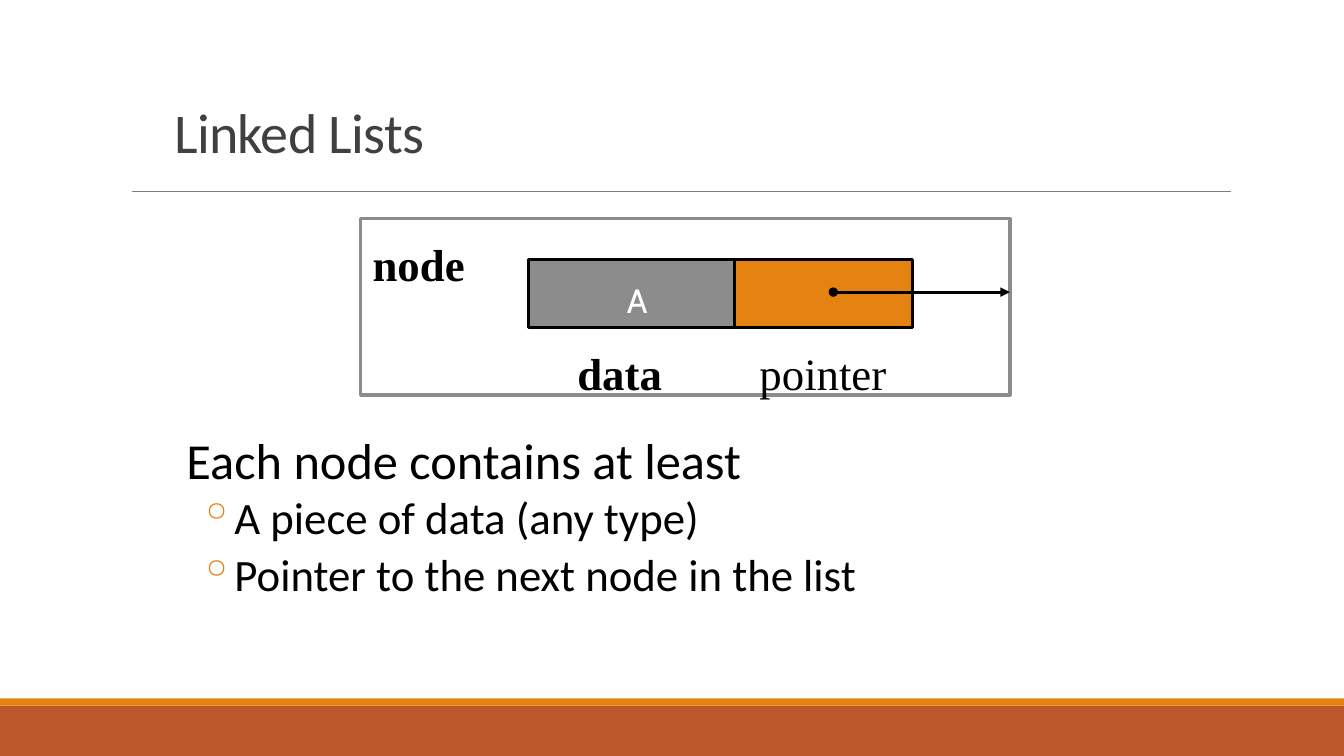
from lxml.etree import SubElement
from pptx import Presentation
from pptx.dml.color import RGBColor
from pptx.enum.shapes import MSO_CONNECTOR as Connector, MSO_SHAPE as Shape
from pptx.enum.text import MSO_ANCHOR as Anchor, PP_ALIGN as Align
from pptx.oxml.ns import qn
from pptx.util import Cm, Pt

WIDTH, HEIGHT = 33.87, 19.05
BLACK, ORANGE, RUST, GRAY = "000000", "E48312", "BD582C", "8C8C8C"


def color(hex_string):
    return RGBColor.from_string(hex_string)


def lengths(box):
    return [Cm(value) for value in box]


def add_rectangle(slide, box, fill=None, line=None, weight=2.25):
    shape = slide.shapes.add_shape(Shape.RECTANGLE, *lengths(box))
    shape.shadow.inherit = False
    if fill:
        shape.fill.solid()
        shape.fill.fore_color.rgb = color(fill)
    else:
        shape.fill.background()
    if line:
        shape.line.color.rgb = color(line)
        shape.line.width = Pt(weight)
    else:
        shape.line.fill.background()


def add_line(slide, ends, line, weight, head=None, tail=None):
    """Draw a line; head and tail name the arrowheads at its start and end."""
    connector = slide.shapes.add_connector(Connector.STRAIGHT, *lengths(ends))
    connector.line.color.rgb = color(line)
    connector.line.width = Pt(weight)
    properties = connector.element.spPr
    outline = properties.find(qn("a:ln"))
    for tag, kind in (("a:headEnd", head), ("a:tailEnd", tail)):
        if kind:
            SubElement(outline, qn(tag), type=kind)
    SubElement(properties, qn("a:effectLst"))


def format_text(paragraph, text, size, font="Calibri", fill=BLACK, bold=False,
                align=Align.LEFT, spacing=None, before=0, after=0):
    paragraph.alignment = align
    paragraph.line_spacing = spacing
    paragraph.space_before, paragraph.space_after = Pt(before), Pt(after)
    run = paragraph.add_run()
    run.text = text
    run.font.name, run.font.size, run.font.bold = font, Pt(size), bold
    run.font.color.rgb = color(fill)
    return run


def add_text_box(slide, box):
    frame = slide.shapes.add_textbox(*lengths(box)).text_frame
    frame.word_wrap = True
    return frame


def set_indent(paragraph, margin, hanging=0, bullet=None):
    properties = paragraph._p.get_or_add_pPr()
    properties.set("marL", str(Cm(margin)))
    properties.set("indent", str(-Cm(hanging)))
    if bullet:
        bullet_color = SubElement(properties, qn("a:buClr"))
        SubElement(bullet_color, qn("a:srgbClr"), val=ORANGE)
        SubElement(properties, qn("a:buChar"), char=bullet)


def add_frame(slide, box):
    """Draw the footer bands and the rule under the title."""
    left, top, width, height = box
    bottom = top + height
    add_rectangle(slide, (left, bottom - 1.27, width, 1.27), RUST)
    add_rectangle(slide, (left, bottom - 1.45, width, 0.18), ORANGE)
    add_line(slide, (left + 3.33, top + 4.83, left + 31.01, top + 4.83), "808080", 0.5)


def add_title(slide, box, text):
    title = slide.shapes.title
    title.left, title.top, title.width, title.height = lengths(box)
    title.text_frame.vertical_anchor = Anchor.BOTTOM
    run = format_text(title.text_frame.paragraphs[0], text, 40, fill="404040", spacing=0.85)
    run._r.get_or_add_rPr().set("spc", "-50")


def add_node_diagram(slide, box):
    left, top, width, height = box
    add_rectangle(slide, box, line=GRAY, weight=2.5)
    labels = (("node", 0.05, 0.33, True), ("data", 5.21, 3.07, True), ("pointer", 9.8, 3.07, False))
    for text, x, y, bold in labels:
        frame = add_text_box(slide, (left + x, top + y, 4.83, 1.63))
        format_text(frame.paragraphs[0], text, 32, "Times New Roman", bold=bold)

    data_left, data_width, pointer_width = left + 4.22, 5.21, 4.47
    cell_top, cell_height = top + 1.04, 1.7
    pointer_left = data_left + data_width
    add_rectangle(slide, (pointer_left, cell_top, pointer_width, cell_height), ORANGE, BLACK)
    add_rectangle(slide, (data_left, cell_top, data_width, cell_height), GRAY, BLACK)
    value = add_text_box(slide, (left + 6.45, top + 1.42, 1.04, 1.3))
    format_text(value.paragraphs[0], "A", 24, "Cabin", "FFFFFF", align=Align.CENTER)
    arrow_y = top + 1.85
    add_line(slide, (left + 11.91, arrow_y, left + width, arrow_y), BLACK, 2.25, "oval", "triangle")


def add_body(slide, box, heading, items):
    frame = add_text_box(slide, box)
    frame.margin_left = frame.margin_right = 0
    first = frame.paragraphs[0]
    set_indent(first, 0.25)
    format_text(first, heading, 36, spacing=0.9, after=2)
    for item in items:
        paragraph = frame.add_paragraph()
        paragraph.level = 1
        set_indent(paragraph, 1.07, 0.51, "◦")
        format_text(paragraph, item, 32, spacing=0.9, before=2, after=4)


def main():
    presentation = Presentation()
    presentation.slide_width, presentation.slide_height = Cm(WIDTH), Cm(HEIGHT)
    slide = presentation.slides.add_slide(presentation.slide_layouts[5])
    add_frame(slide, (0, 0, WIDTH, HEIGHT))
    add_title(slide, (4.14, 1.88, 22.86, 2.41), "Linked Lists")
    add_node_diagram(slide, (9.09, 5.51, 16.36, 4.45))
    add_body(slide, (4.45, 10.85, 21.8, 6), "Each node contains at least",
             ["A piece of data (any type)", "Pointer to the next node in the list"])
    presentation.save("out.pptx")


if __name__ == "__main__":
    main()
